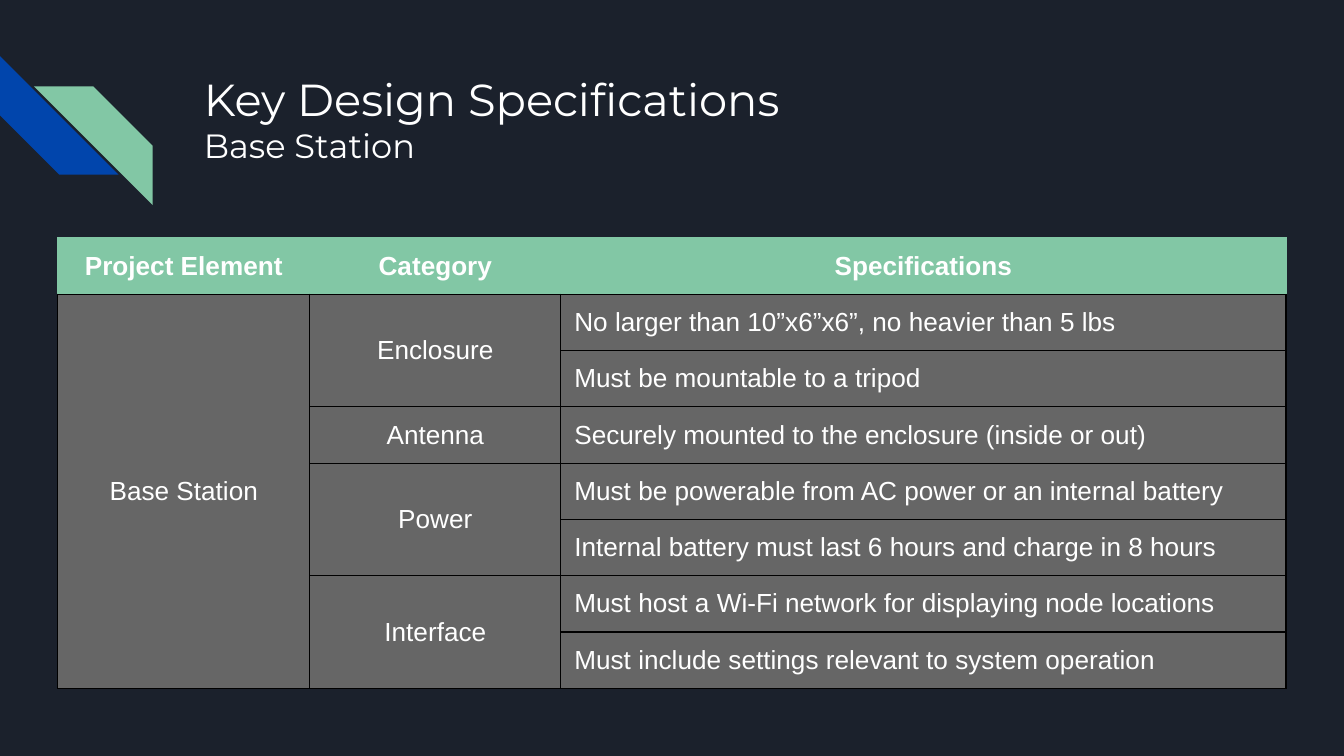
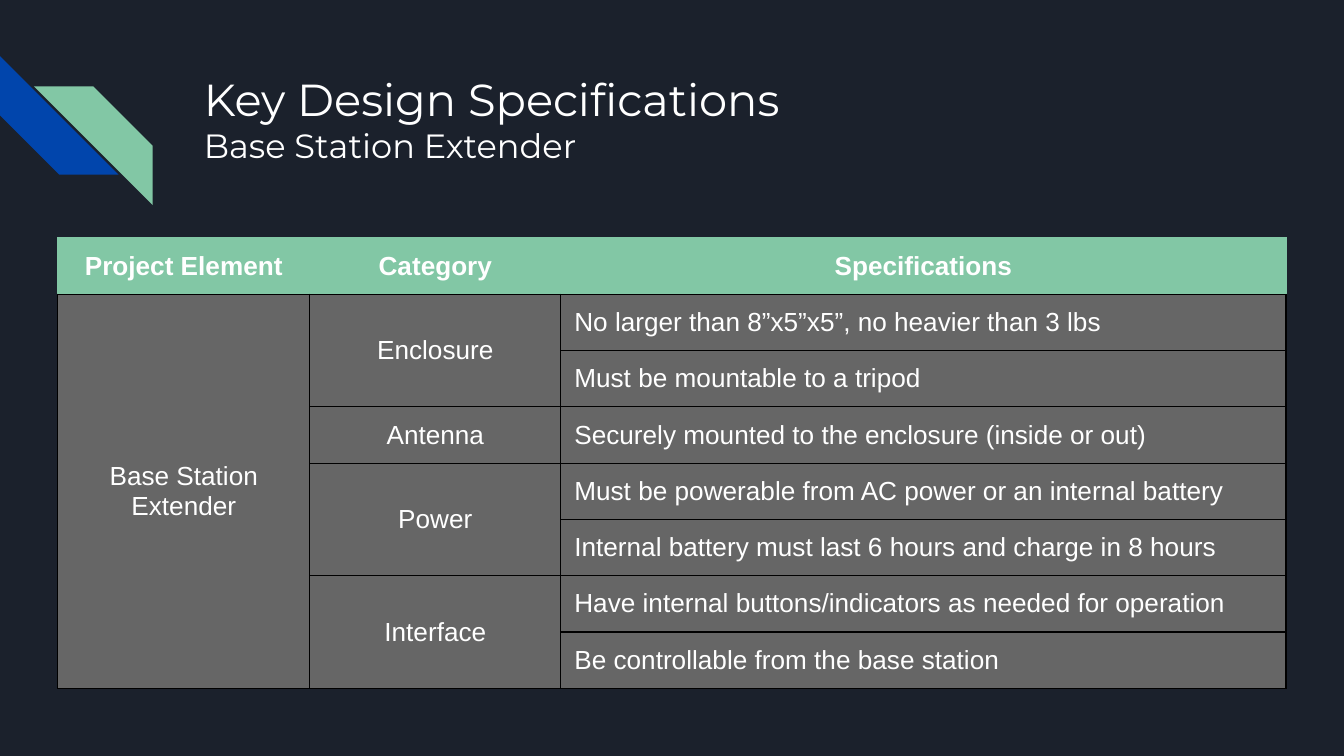
from lxml import etree
from pptx import Presentation
from pptx.dml.color import RGBColor
from pptx.enum import shapes, text
from pptx.oxml.ns import qn
from pptx.util import Pt

# Content
TITLE = "Key Design Specifications"
HEADINGS = ("Project Element", "Category", "Specifications")
ANTENNA = ("Antenna", ["Securely mounted to the enclosure (inside or out)"])
POWER = ("Power", ["Must be powerable from AC power or an internal battery",
                   "Internal battery must last 6 hours and charge in 8 hours"])
ELEMENTS = {
    "Base Station": [
        ("Enclosure", ["No larger than 10”x6”x6”, no heavier than 5 lbs",
                       "Must be mountable to a tripod"]),
        ANTENNA,
        POWER,
        ("Interface", ["Must host a Wi-Fi network for displaying node locations",
                       "Must include settings relevant to system operation"]),
    ],
    "Base Station Extender": [
        ("Enclosure", ["No larger than 8”x5”x5”, no heavier than 3 lbs",
                       "Must be mountable to a tripod"]),
        ANTENNA,
        POWER,
        ("Interface", ["Have internal buttons/indicators as needed for operation",
                       "Be controllable from the base station"]),
    ],
}

# Shared style
COLORS = {"background": "1B212C", "blue": "0145AC", "green": "82C7A5",
          "cell": "666666", "border": "000000", "text": "FFFFFF"}
TITLE_FONT, TABLE_FONT = "Montserrat", "Arial"
INSET = 7.2
TABLE_LEFT, TABLE_TOP, ROW_HEIGHT = 31, 127.5, 30
COLUMN_WIDTHS = (135, 134.5, 388.5)
STRIPE_SIZE = 63.6
STRIPES = [("blue", 0, 30, 270, False), ("green", 18.2, 46.3, 0, True)]


def rgb(name):
    return RGBColor.from_string(COLORS[name])


def style_font(paragraph, face, size, bold=False):
    font = paragraph.font
    font.name, font.size, font.bold = face, Pt(size), bold
    font.color.rgb = rgb("text")


def set_insets(box):
    box.margin_left = box.margin_right = Pt(INSET)
    box.margin_top = box.margin_bottom = Pt(INSET)


def add_stripes(slide, layout):
    """Draw the corner stripes and move them to the layout that slides share."""
    for color, left, top, rotation, mirrored in STRIPES:
        stripe = slide.shapes.add_shape(shapes.MSO_SHAPE.DIAGONAL_STRIPE, Pt(left), Pt(top),
                                        Pt(STRIPE_SIZE), Pt(STRIPE_SIZE))
        stripe.rotation = rotation
        stripe.shadow.inherit = False
        stripe.fill.solid()
        stripe.fill.fore_color.rgb = rgb(color)
        stripe.line.fill.background()
        if mirrored:
            stripe._element.spPr.find(qn("a:xfrm")).set("flipH", "1")
        layout.shapes._spTree.append(stripe._element)


def add_title(slide, subtitle):
    title = slide.shapes.title
    title.left, title.top, title.width, title.height = Pt(102), Pt(31), Pt(554.5), Pt(72)
    frame = title.text_frame
    set_insets(frame)
    frame.word_wrap = True
    frame.auto_size = text.MSO_AUTO_SIZE.NONE
    frame.vertical_anchor = text.MSO_ANCHOR.TOP
    frame.text = f"{TITLE}\n{subtitle}"
    for paragraph, size in zip(frame.paragraphs, (24, 18)):
        paragraph.alignment = text.PP_ALIGN.LEFT
        style_font(paragraph, TITLE_FONT, size)


def set_borders(cell, colors):
    """Colours come in the order left, right, top, bottom."""
    properties = cell._tc.get_or_add_tcPr()
    for side, color in zip("LRTB", colors):
        line = etree.SubElement(properties, qn(f"a:ln{side}"), w=str(Pt(0.75)))
        fill = etree.SubElement(line, qn("a:solidFill"))
        etree.SubElement(fill, qn("a:srgbClr"), val=COLORS[color])


def style_cell(cell, is_header, is_spec):
    set_insets(cell)
    set_borders(cell, ["green"] * 3 + ["border"] if is_header else ["border"] * 4)
    cell.fill.solid()
    cell.fill.fore_color.rgb = rgb("green" if is_header else "cell")
    plain = is_header or is_spec
    cell.vertical_anchor = text.MSO_ANCHOR.TOP if plain else text.MSO_ANCHOR.MIDDLE
    paragraph = cell.text_frame.paragraphs[0]
    left_aligned = is_spec and not is_header
    paragraph.alignment = text.PP_ALIGN.LEFT if left_aligned else text.PP_ALIGN.CENTER
    style_font(paragraph, TABLE_FONT, 14, bold=is_header)


def add_specifications(slide, element, categories):
    row_count = 1 + sum(len(specs) for _, specs in categories)
    table = slide.shapes.add_table(
        row_count, len(HEADINGS), Pt(TABLE_LEFT), Pt(TABLE_TOP),
        Pt(sum(COLUMN_WIDTHS)), Pt(ROW_HEIGHT * row_count)).table
    table.horz_banding = False
    for column, width in zip(table.columns, COLUMN_WIDTHS):
        column.width = Pt(width)

    # Wording
    for index, heading in enumerate(HEADINGS):
        table.cell(0, index).text = heading
    table.cell(1, 0).text = element
    first = 1
    for category, specs in categories:
        table.cell(first, 1).text = category
        for row, spec in enumerate(specs, first):
            table.cell(row, 2).text = spec
        if len(specs) > 1:
            table.cell(first, 1).merge(table.cell(first + len(specs) - 1, 1))
        first += len(specs)
    table.cell(1, 0).merge(table.cell(row_count - 1, 0))

    # Looks
    for row in range(row_count):
        table.rows[row].height = Pt(ROW_HEIGHT)
        for column in range(len(HEADINGS)):
            style_cell(table.cell(row, column), is_header=row == 0, is_spec=column == 2)


def main():
    deck = Presentation()
    deck.slide_width, deck.slide_height = Pt(720), Pt(405)
    backdrop = deck.slide_master.background.fill
    backdrop.solid()
    backdrop.fore_color.rgb = rgb("background")
    title_only = deck.slide_layouts[5]

    for number, (element, categories) in enumerate(ELEMENTS.items()):
        slide = deck.slides.add_slide(title_only)
        if number == 0:
            add_stripes(slide, title_only)
        add_title(slide, element)
        add_specifications(slide, element, categories)
    deck.save("out.pptx")


if __name__ == "__main__":
    main()
